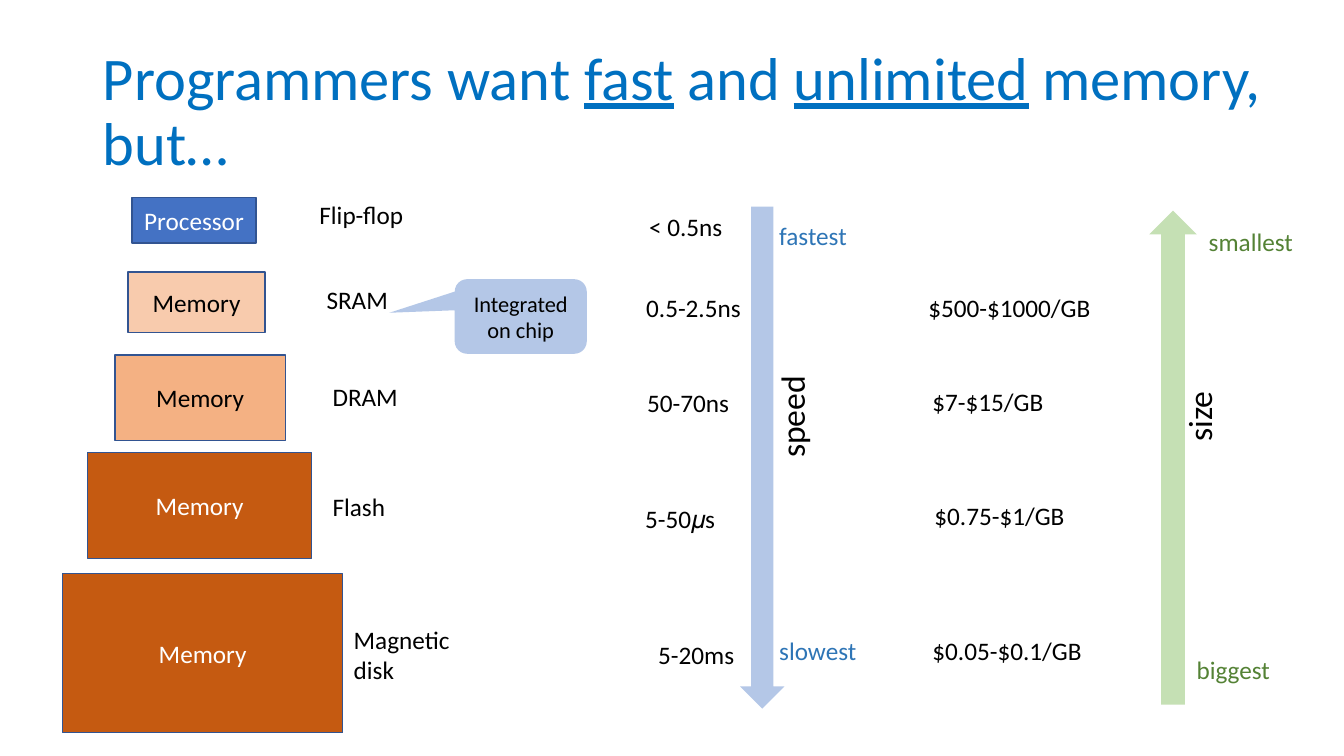
from dataclasses import dataclass

from pptx import Presentation
from pptx.dml.color import RGBColor
from pptx.enum.shapes import MSO_SHAPE
from pptx.enum.text import MSO_ANCHOR, MSO_AUTO_SIZE, PP_ALIGN
from pptx.shapes.autoshape import Shape
from pptx.slide import Slide
from pptx.text.text import Font
from pptx.util import Emu, Inches, Pt

RECTANGLE = MSO_SHAPE.RECTANGLE
CALLOUT = MSO_SHAPE.ROUNDED_RECTANGULAR_CALLOUT
DOWN, UP = MSO_SHAPE.DOWN_ARROW, MSO_SHAPE.UP_ARROW
LEFT, CENTER = PP_ALIGN.LEFT, PP_ALIGN.CENTER
MIDDLE = MSO_ANCHOR.MIDDLE
NO_FIT, FIT_SHAPE = MSO_AUTO_SIZE.NONE, MSO_AUTO_SIZE.SHAPE_TO_FIT_TEXT

SLIDE_WIDTH, SLIDE_HEIGHT = Inches(13.33), Inches(7.5)
COLUMNS, ROWS = 133.3, 75
TITLE_ONLY = 5
LABEL_ROWS = 4


@dataclass(frozen=True)
class Theme:
    font: str = "Calibri"
    title_size: float = 43.2
    axis_size: float = 24
    label_size: float = 18
    note_size: float = 16
    title: str = "0070C0"
    ink: str = "000000"
    paper: str = "FFFFFF"
    outline: str = "325491"
    processor: str = "4472C4"
    sram: str = "F8CBAD"
    dram: str = "F4B183"
    storage: str = "C55A11"
    speed_arrow: str = "B4C7E7"
    speed_ink: str = "2E75B6"
    size_arrow: str = "C5E0B4"
    size_ink: str = "548235"


THEME = Theme()


@dataclass(frozen=True)
class Area:
    """A block of grid cells: left and width in columns, top and height in rows."""
    left: float
    top: float
    width: float
    height: float = LABEL_ROWS

    def emu(self) -> tuple[Emu, Emu, Emu, Emu]:
        column, row = SLIDE_WIDTH / COLUMNS, SLIDE_HEIGHT / ROWS
        return (Emu(round(self.left * column)), Emu(round(self.top * row)),
                Emu(round(self.width * column)), Emu(round(self.height * row)))


@dataclass(frozen=True)
class Label:
    text: str
    area: Area
    color: str = THEME.ink
    size: float = THEME.label_size
    rotation: float = 0


@dataclass(frozen=True)
class Level:
    """One step of the memory hierarchy with its box and its labels."""
    name: str
    box: Area
    fill: str
    ink: str
    labels: tuple[Label, ...]


@dataclass(frozen=True)
class Scale:
    """A vertical arrow with its name and the words at its two ends."""
    arrow: MSO_SHAPE
    area: Area
    fill: str
    labels: tuple[Label, ...]


LEVELS = (
    Level("Processor", Area(13.1, 19.6, 12.3, 4.5), THEME.processor, THEME.paper, (
        Label("Flip-flop", Area(30.7, 19.3, 10.4)),
        Label("< 0.5ns", Area(63.4, 20.5, 9.3)))),
    Level("Memory", Area(12.7, 27, 13.6, 6), THEME.sram, THEME.ink, (
        Label("SRAM", Area(31.4, 27.7, 8.2)),
        Label("0.5-2.5ns", Area(63.1, 28.5, 11.5)),
        Label("$500-$1000/GB", Area(91.1, 28.5, 18.3)))),
    Level("Memory", Area(11.4, 35.2, 16.9, 8.5), THEME.dram, THEME.ink, (
        Label("DRAM", Area(32, 37.3, 8.6)),
        Label("50-70ns", Area(63.2, 37.9, 10.2)),
        Label("$7-$15/GB", Area(91.5, 37.8, 13.1)))),
    Level("Memory", Area(8.7, 44.9, 22.2, 10.5), THEME.storage, THEME.paper, (
        Label("Flash", Area(32, 48.3, 7.3)),
        Label("5-50𝜇s", Area(63, 49.4, 9)),
        Label("$0.75-$1/GB", Area(91.7, 49.1, 15)))),
    Level("Memory", Area(6.2, 56.9, 27.8, 15.8), THEME.storage, THEME.paper, (
        Label("Magnetic\ndisk", Area(34.1, 61.4, 12.2, 7.1)),
        Label("5-20ms", Area(64.3, 62.9, 9.6)),
        Label("$0.05-$0.1/GB", Area(91.5, 62.5, 17)))),
)

SCALES = (
    Scale(DOWN, Area(73.4, 20.5, 4.4, 49.8), THEME.speed_arrow, (
        Label("speed", Area(73.4, 38.8, 10.2, 5), size=THEME.axis_size, rotation=270),
        Label("fastest", Area(76.3, 21.4, 8.8), THEME.speed_ink),
        Label("slowest", Area(76.3, 62.5, 9.7), THEME.speed_ink))),
    Scale(UP, Area(114, 20.9, 4.7, 49), THEME.size_arrow, (
        Label("size", Area(115.4, 38.8, 7, 5), size=THEME.axis_size, rotation=270),
        Label("smallest", Area(118.9, 22, 10.4), THEME.size_ink),
        Label("biggest", Area(117.7, 64.4, 9.4), THEME.size_ink))),
)

TITLE_AREA = Area(9.2, 4, 121.2, 14.5)
TITLE_PARTS = (("Programmers want ", False), ("fast", True), (" and ", False),
               ("unlimited", True), (" memory,", False))
TITLE_ENDING = "but…"
NOTE_AREA = Area(45.1, 27.7, 13.1, 7.4)
NOTE_POINTER = (-0.995, -0.05, 0.167)


def style(font: Font, size: float, color: str) -> None:
    font.name, font.size = THEME.font, Pt(size)
    font.color.rgb = RGBColor.from_string(color)


def draw_title(slide: Slide) -> None:
    title = slide.shapes.title
    title.left, title.top, title.width, title.height = TITLE_AREA.emu()
    frame = title.text_frame
    frame.vertical_anchor, frame.auto_size = MIDDLE, NO_FIT
    line = frame.paragraphs[0]
    line.alignment, line.line_spacing = LEFT, 0.9
    for text, underlined in TITLE_PARTS:
        run = line.add_run()
        run.text = text
        run.font.underline = underlined
    line.add_line_break()
    line.add_run().text = TITLE_ENDING
    for run in line.runs:
        style(run.font, THEME.title_size, THEME.title)


def draw_shape(slide: Slide, kind: MSO_SHAPE, area: Area, fill: str) -> Shape:
    shape = slide.shapes.add_shape(kind, *area.emu())
    shape.shadow.inherit = False
    shape.fill.solid()
    shape.fill.fore_color.rgb = RGBColor.from_string(fill)
    shape.line.fill.background()
    return shape


def write_centred(shape: Shape, text: str, size: float, color: str) -> None:
    frame = shape.text_frame
    frame.text = text
    frame.word_wrap, frame.vertical_anchor = True, MIDDLE
    frame.paragraphs[0].alignment = CENTER
    style(frame.paragraphs[0].runs[0].font, size, color)


def draw_label(slide: Slide, label: Label) -> None:
    box = slide.shapes.add_textbox(*label.area.emu())
    box.rotation = label.rotation
    frame = box.text_frame
    frame.text = label.text
    frame.word_wrap, frame.auto_size = False, FIT_SHAPE
    for line in frame.paragraphs:
        style(line.runs[0].font, label.size, label.color)


def draw_level(slide: Slide, level: Level) -> None:
    box = draw_shape(slide, RECTANGLE, level.box, level.fill)
    box.line.color.rgb = RGBColor.from_string(THEME.outline)
    box.line.width = Pt(1)
    write_centred(box, level.name, THEME.label_size, level.ink)
    for label in level.labels:
        draw_label(slide, label)


def draw_scale(slide: Slide, scale: Scale) -> None:
    draw_shape(slide, scale.arrow, scale.area, scale.fill)
    for label in scale.labels:
        draw_label(slide, label)


def draw_note(slide: Slide) -> None:
    note = draw_shape(slide, CALLOUT, NOTE_AREA, THEME.speed_arrow)
    for index, share in enumerate(NOTE_POINTER):
        note.adjustments[index] = share
    write_centred(note, "Integrated on chip", THEME.note_size, THEME.ink)


def main() -> None:
    deck = Presentation()
    deck.slide_width, deck.slide_height = SLIDE_WIDTH, SLIDE_HEIGHT
    slide = deck.slides.add_slide(deck.slide_layouts[TITLE_ONLY])
    draw_title(slide)
    for level in LEVELS:
        draw_level(slide, level)
    for scale in SCALES:
        draw_scale(slide, scale)
    draw_note(slide)
    deck.save("out.pptx")


if __name__ == "__main__":
    main()
